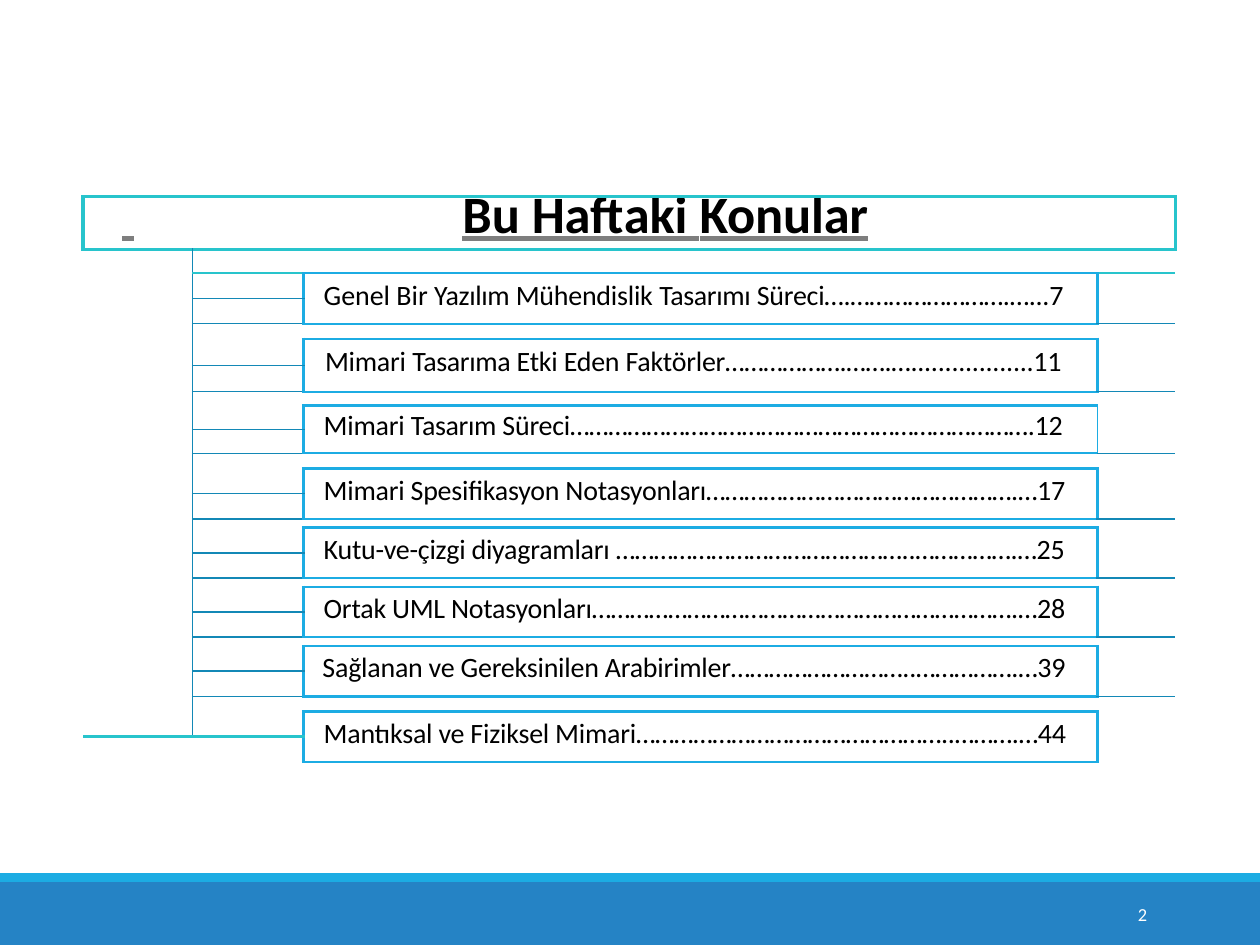
from lxml import etree
from pptx import Presentation
from pptx import util as u
from pptx.dml.color import RGBColor
from pptx.enum import shapes
from pptx.oxml import ns

TEAL, SKY, DEEP = "28C4CC", "1CACE3", "1388B6"

presentation = Presentation()
presentation.slide_width, presentation.slide_height = u.Inches(10), u.Inches(7.5)
width, height = presentation.slide_width, presentation.slide_height
slide = presentation.slides.add_slide(presentation.slide_layouts[6])


def add_run(paragraph, content, size, color="000000", spacing=0):
    run = paragraph.add_run()
    run.text = content
    run.font.size, run.font.name = u.Pt(size), "Calibri"
    run.font.color.rgb = RGBColor.from_string(color)
    run._r.get_or_add_rPr().set("spc", str(round(spacing * 100)))
    return run


def set_borders(cell, **sides):
    """Draw the given sides (L, R, T, B), each a colour and a width in points."""
    properties = cell._tc.get_or_add_tcPr()
    ordered = [side for side in "LRTB" if side in sides]
    for position, side in enumerate(ordered):
        color, points = sides[side]
        line = etree.Element(ns.qn(f"a:ln{side}"), w=str(u.Pt(points)))
        fill = etree.SubElement(line, ns.qn("a:solidFill"))
        etree.SubElement(fill, ns.qn("a:srgbClr"), val=color)
        properties.insert(position, line)


# Footer bands
for top, depth, color in ((7, 0.5, "2583C5"), (6.93, 0.07, SKY)):
    band = slide.shapes.add_shape(shapes.MSO_SHAPE.RECTANGLE, 0, u.Inches(top), width, u.Inches(depth))
    band.shadow.inherit = False
    band.fill.solid()
    band.fill.fore_color.rgb = RGBColor.from_string(color)
    band.line.fill.background()

# Topics: gap above, half of the box height, indent, runs with letter spacing
topics = [
    (0.19, 0.20, 0.16, [("Genel Bir ", 0), ("Yazılım ", -0.2), ("Mühendislik ", -0.1),
                        ("Tasarımı ", -0.2), ("Süreci….…………………….…...7", -0.1)]),
    (0.12, 0.21, 0.17, [("Mimari ", -0.1), ("Tasarıma ", -0.2),
                        ("Etki Eden Faktörler……………….…….…..................11", -0.1)]),
    (0.11, 0.19, 0.16, [("Mimari ", -0.1), ("Tasarım ", -0.2),
                        ("Süreci……………………………………………………………….12", -0.1)]),
    (0.12, 0.20, 0.16, [("Mimari Spesifikasyon Notasyonları………………………………………….…17", -0.1)]),
    (0.07, 0.20, 0.16, [("Kutu-ve-çizgi diyagramları ………………………………………..…………….…25", -0.1)]),
    (0.07, 0.20, 0.16, [("Ortak UML Notasyonları………………………………………………………….…28", -0.1)]),
    (0.07, 0.20, 0.15, [("Sağlanan ve Gereksinilen Arabirimler………………………..…………….…39", -0.1)]),
    (0.12, 0.20, 0.16, [("Mantıksal ve Fiziksel Mimari…………………………………………..……….…44", -0.1)]),
]
columns = [0.87, 0.88, 6.3, 0.62]
rows = [0.42]
for gap, half, _, _ in topics:
    rows += [gap, half, half]

frame = slide.shapes.add_table(len(rows), len(columns), u.Inches(0.66), u.Inches(1.56),
                               u.Inches(sum(columns)), u.Inches(sum(rows)))
table = frame.table
table.first_row = table.horz_banding = False
for style in table._tbl.iter(ns.qn("a:tableStyleId")):
    style.text = "{2D5ABB26-0587-4C30-8999-92F81FD0307C}"  # no style, no grid
for column, size in zip(table.columns, columns):
    column.width = u.Inches(size)
for row, size in zip(table.rows, rows):
    row.height = u.Inches(size)

last = len(rows) - 1
for cell in table.iter_cells():
    cell.margin_left = cell.margin_right = cell.margin_top = cell.margin_bottom = 0
    cell.fill.background()

# Heading row
heading = table.cell(0, 0)
heading.merge(table.cell(0, 3))
set_borders(heading, L=(TEAL, 2.25), R=(TEAL, 2.25), T=(TEAL, 1.5), B=(TEAL, 1.5))
paragraph = heading.text_frame.paragraphs[0]
paragraph.line_spacing = u.Pt(29.2)
paragraph_properties = paragraph._p.get_or_add_pPr()
paragraph_properties.set("marL", str(u.Inches(0.31)))
tabs = etree.SubElement(paragraph_properties, ns.qn("a:tabLst"))
for position in (2.7, 8.48):
    etree.SubElement(tabs, ns.qn("a:tab"), pos=str(u.Inches(position)), algn="l")
for content, spacing in ((" \tBu ", 0), ("Haftaki", -0.1), (" ", -0.8), ("Konular\t", -0.1)):
    run = add_run(paragraph, content, 30, spacing=spacing)
    run.font.bold = run.font.underline = True
    underline = etree.Element(ns.qn("a:uFill"))
    fill = etree.SubElement(underline, ns.qn("a:solidFill"))
    etree.SubElement(fill, ns.qn("a:srgbClr"), val="7E7E7E")
    run._r.get_or_add_rPr().insert(1, underline)

# Trunk on the left and the foot that closes it
trunk = table.cell(1, 0)
trunk.merge(table.cell(last - 1, 0))
set_borders(trunk, R=(DEEP, 1))
foot = table.cell(last, 0)
foot.merge(table.cell(last, 1))
set_borders(foot, T=(TEAL, 2.25), R=(SKY, 2.25))

# One gap row and two box rows for each topic
for number, (_, half, indent, runs) in enumerate(topics):
    gap_row = 1 + 3 * number
    upper, lower = gap_row + 1, gap_row + 2
    gap_cell, branch = table.cell(gap_row, 1), table.cell(upper, 1)
    box, tail = table.cell(upper, 2), table.cell(upper, 3)
    gap_cell.merge(table.cell(gap_row, 3))
    box.merge(table.cell(lower, 2))
    tail.merge(table.cell(lower, 3))

    right = (SKY, 1 if number == 2 else 2.25)
    above = {"T": (TEAL, 1.5)} if number == 0 else {}
    below = {"B": (DEEP, 1)} if lower < last else {}
    set_borders(gap_cell, L=(DEEP, 1))
    set_borders(box, L=(SKY, 2.25), R=right, T=(SKY, 1.5), B=(SKY, 1.5))
    set_borders(tail, L=right, **above, **below)
    if lower < last:
        set_borders(branch, L=(DEEP, 1), R=(SKY, 2.25), B=(DEEP, 1), **above)
        set_borders(table.cell(lower, 1), L=(DEEP, 1), R=(SKY, 2.25), T=(DEEP, 1), **below)
    else:
        set_borders(branch, L=(DEEP, 1), R=(SKY, 2.25), B=(TEAL, 2.25))

    box.margin_top = u.Inches(half - 0.16)
    paragraph = box.text_frame.paragraphs[0]
    paragraph.space_before = u.Pt(round((half - 0.16) * 72, 1))
    paragraph._p.get_or_add_pPr().set("marL", str(u.Inches(indent)))
    for content, spacing in runs:
        add_run(paragraph, content, 16, spacing=spacing)

# Small type keeps the empty rows at their set heights
for cell in table.iter_cells():
    if not cell.text_frame.text:
        etree.SubElement(cell.text_frame.paragraphs[0]._p, ns.qn("a:endParaRPr"), sz="100")

# Page number
number_box = slide.shapes.add_textbox(u.Inches(8.99), u.Inches(7.18), u.Inches(0.14), u.Inches(0.19))
text_frame = number_box.text_frame
text_frame.word_wrap = True
text_frame.margin_left = text_frame.margin_right = text_frame.margin_top = text_frame.margin_bottom = 0
paragraph = text_frame.paragraphs[0]
paragraph.line_spacing = u.Pt(11.6)
paragraph._p.get_or_add_pPr().set("marL", str(u.Inches(0.04)))
add_run(paragraph, "2", 10.5, "FFFFFF", 0.1)

presentation.save("out.pptx")
